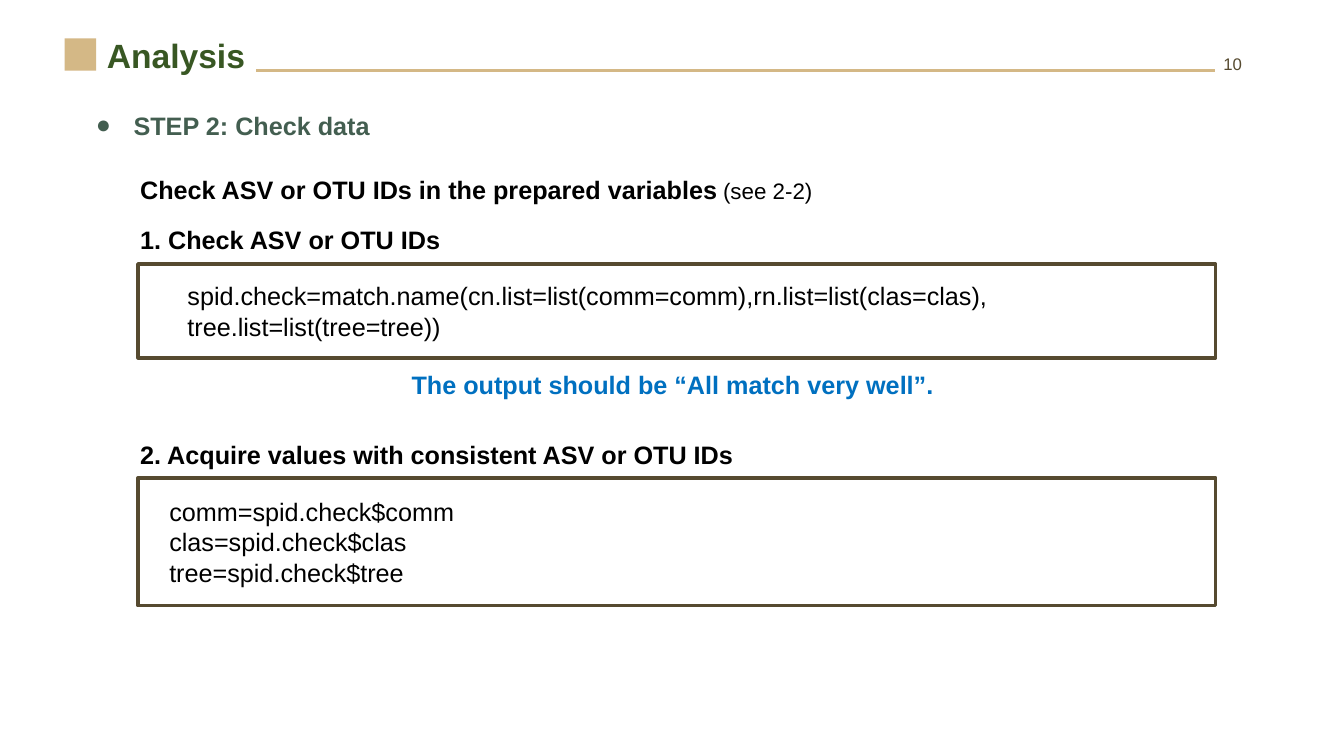
from dataclasses import dataclass
from pptx import Presentation
from pptx.dml.color import RGBColor
from pptx.enum import shapes, text
from pptx.oxml.ns import qn
from pptx.util import Pt
from lxml import etree


@dataclass(frozen=True)
class Theme:
    """Colours and type sizes of the slide."""
    font: str = "Arial"
    tan: str = "D4B886"
    brown: str = "564A30"
    green: str = "385723"
    sage: str = "435E50"
    blue: str = "0070C0"
    black: str = "000000"
    title: int = 24
    body: int = 18
    note: int = 16
    gap: int = 14
    number: int = 12
    stroke: float = 2.5


T = Theme()
LEFT, CENTER, RIGHT = text.PP_ALIGN.LEFT, text.PP_ALIGN.CENTER, text.PP_ALIGN.RIGHT
TITLE, STEP, PAGE = "Analysis", "STEP 2: Check data", "10"
LEAD = "Check ASV or OTU IDs in the prepared variables"
LEAD_NOTE = "(see 2-2)"
LABELS = [
    (LEAD, 93, 121, 612, LEFT, T.black),
    ("1. Check ASV or OTU IDs", 93, 157, 539, LEFT, T.black),
    ("The output should be “All match very well”.", 211, 260.6, 539, CENTER, T.blue),
    ("2. Acquire values with consistent ASV or OTU IDs", 93, 310.3, 599, LEFT, T.black),
]
CODE_LEFT, CODE_WIDTH = 98.6, 769.7
CODE_BOXES = [
    (188.6, 67, 35.3, ["spid.check=match.name(cn.list=list(comm=comm),rn.list=list(clas=clas),",
                       "tree.list=list(tree=tree))"]),
    (341.3, 91.4, 22.3, ["comm=spid.check$comm", "clas=spid.check$clas", "tree=spid.check$tree"]),
]
LABEL_HEIGHT = 29


def rgb(color):
    """Turn a hex string into a colour."""
    return RGBColor.from_string(color)


def place(sp, left, top, width, height):
    """Move and size a shape in points."""
    sp.left, sp.top, sp.width, sp.height = map(Pt, (left, top, width, height))


def write(sp, lines, size, color, bold=False, align=LEFT, anchor=text.MSO_ANCHOR.TOP):
    """Fill a shape with evenly formatted lines."""
    tf = sp.text_frame
    tf.word_wrap, tf.auto_size, tf.vertical_anchor = True, text.MSO_AUTO_SIZE.NONE, anchor
    tf.text = "\n".join(lines)
    for p in tf.paragraphs:
        p.alignment, p.space_before = align, Pt(0)
        f = p.font
        f.name, f.size, f.bold = T.font, Pt(size), bold
        f.color.rgb = rgb(color)
    return tf


def add_bullet(p, char, indent):
    """Give a paragraph a hanging bullet."""
    pPr = p._p.get_or_add_pPr()
    pPr.set("marL", str(Pt(indent)))
    pPr.set("indent", str(-Pt(indent)))
    bullet = etree.Element(qn("a:buChar"), char=char)
    pPr.insert_element_before(bullet, "a:tabLst", "a:defRPr", "a:extLst")


def add_rect(s, left, top, width, height):
    """Add a rectangle without shadow."""
    sp = s.shapes.add_shape(shapes.MSO_SHAPE.RECTANGLE, *map(Pt, (left, top, width, height)))
    sp.shadow.inherit = False
    return sp


def add_label(s, line, left, top, width, height, size, color, bold, align):
    """Add a one-line text box."""
    sp = s.shapes.add_textbox(*map(Pt, (left, top, width, height)))
    return write(sp, [line], size, color, bold, align)


def add_header(s):
    """Build the title, marker, rule, page number and step heading."""
    title, body = s.shapes.title, s.placeholders[1]
    place(title, 69.1, 21.6, 113.8, 36.4)
    write(title, [TITLE], T.title, T.green, True)
    place(body, 61.2, 74.9, 787, LABEL_HEIGHT)
    p = write(body, [STEP], T.body, T.sage, True).paragraphs[0]
    add_bullet(p, "●", 27)
    marker = add_rect(s, 46.1, 27.4, 22.6, 23)
    marker.fill.solid()
    marker.fill.fore_color.rgb = rgb(T.tan)
    marker.line.fill.background()
    rule = s.shapes.add_connector(shapes.MSO_CONNECTOR.STRAIGHT, *map(Pt, (183, 50.4, 867.6, 50.4)))
    rule.line.color.rgb, rule.line.width = rgb(T.tan), Pt(T.stroke)
    etree.SubElement(rule._element.spPr, qn("a:effectLst"))
    add_label(s, PAGE, 862.6, 34.6, 31.7, 21.6, T.number, T.brown, False, RIGHT)


def add_steps(s):
    """Build the labels and the framed code."""
    for line, left, top, width, align, color in LABELS:
        tf = add_label(s, line, left, top, width, LABEL_HEIGHT, T.body, color, True, align)
        if line == LEAD:
            for extra, size, bold in ((" ", T.gap, True), (LEAD_NOTE, T.note, False)):
                r = tf.paragraphs[0].add_run()
                r.text, r.font.size, r.font.bold = extra, Pt(size), bold
    for top, height, inset, lines in CODE_BOXES:
        sp = add_rect(s, CODE_LEFT, top, CODE_WIDTH, height)
        sp.fill.background()
        sp.line.color.rgb, sp.line.width = rgb(T.brown), Pt(T.stroke)
        tf = write(sp, lines, T.body, T.black, anchor=text.MSO_ANCHOR.MIDDLE)
        tf.margin_left = Pt(inset)


def main():
    """Build and save the slide."""
    prs = Presentation()
    prs.slide_width, prs.slide_height = Pt(960), Pt(540)
    s = prs.slides.add_slide(prs.slide_layouts[1])
    add_header(s)
    add_steps(s)
    prs.save("out.pptx")


if __name__ == "__main__":
    main()
